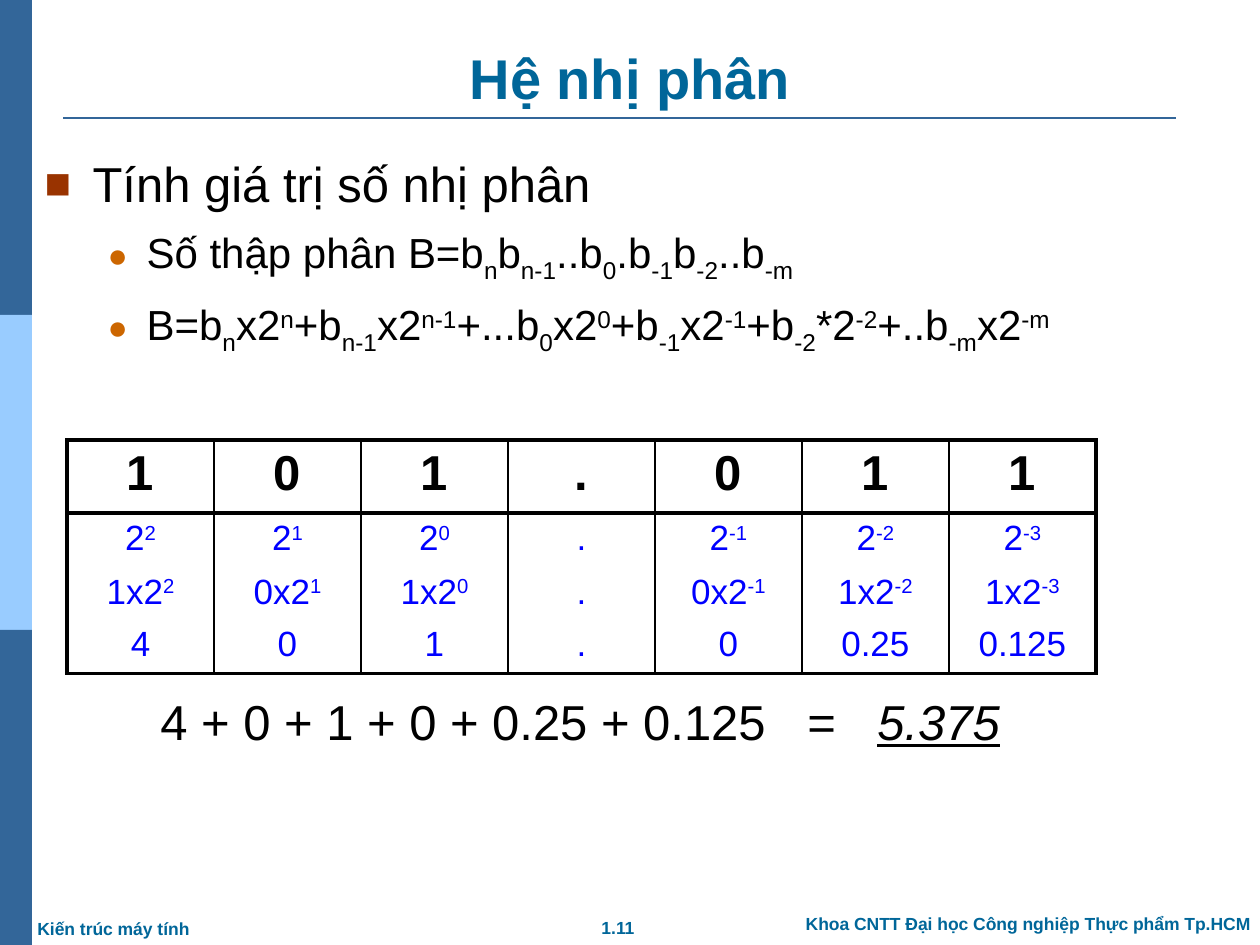
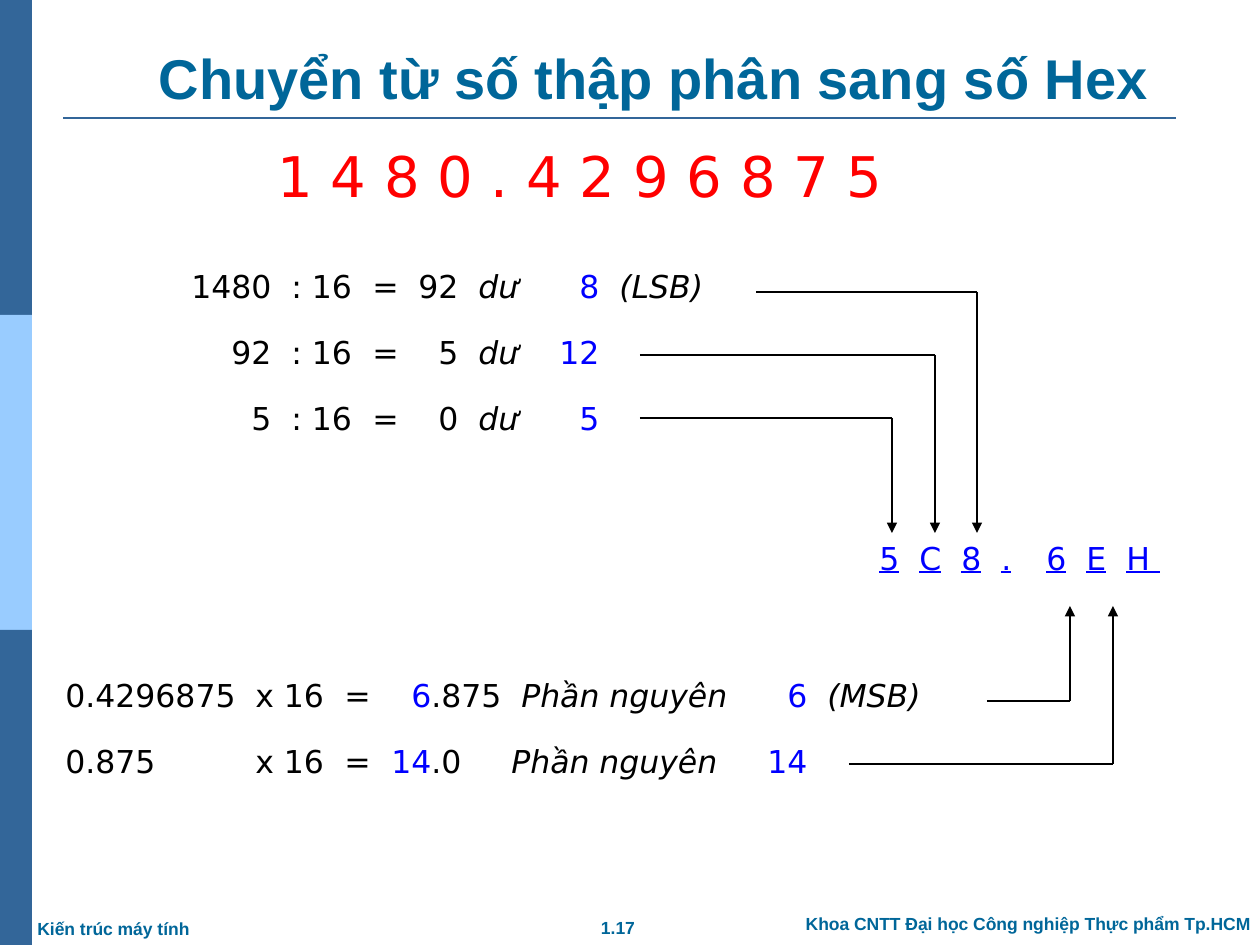
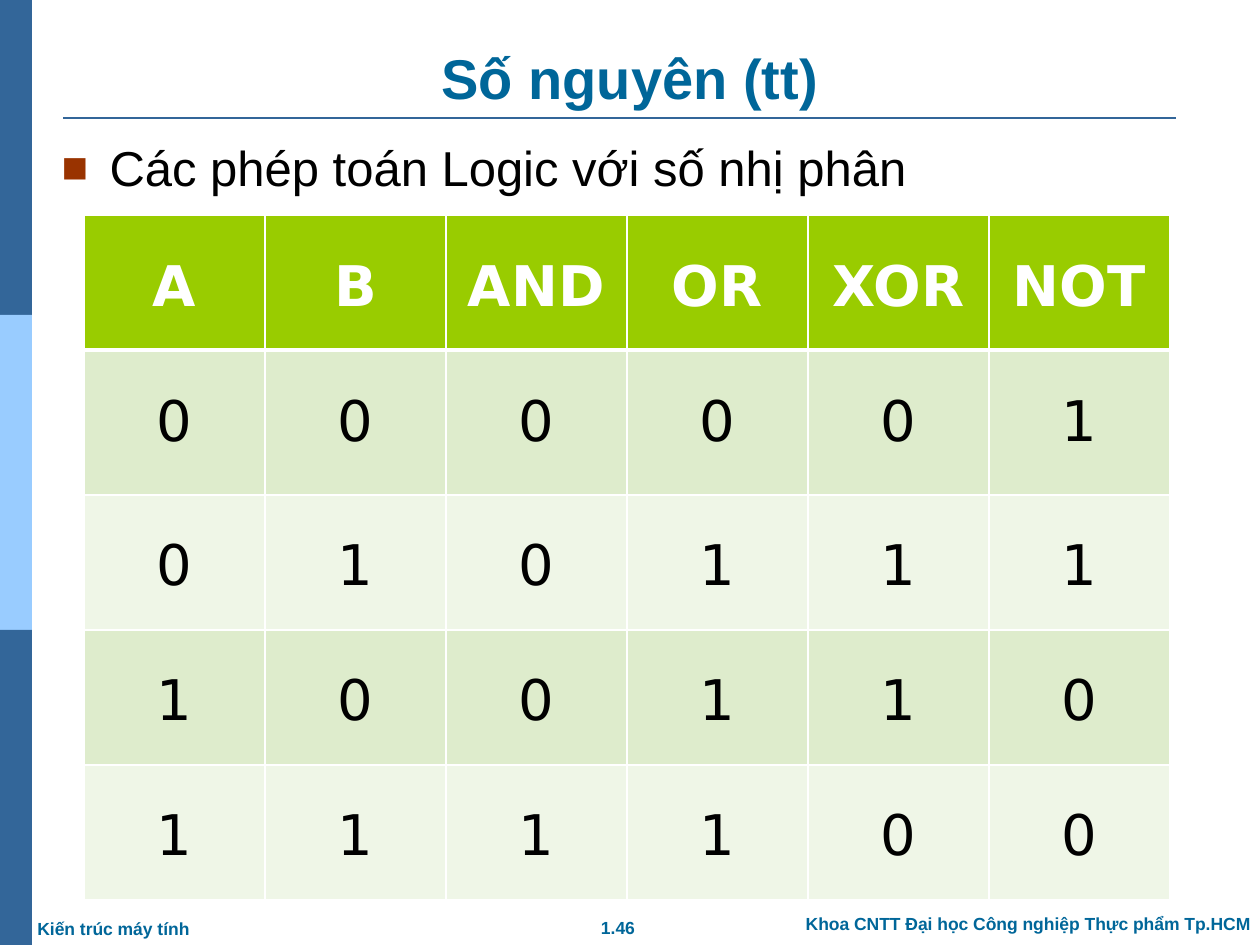
from dataclasses import dataclass
from itertools import accumulate

from lxml import etree
from pptx import Presentation
from pptx import util as u
from pptx.dml.color import RGBColor
from pptx.enum import shapes, text
from pptx.oxml.ns import qn


@dataclass(frozen=True)
class TextStyle:
    size: int
    color: str
    font: str = "Arial"
    bold: bool = False
    underline: bool = False
    before: int = 0  # percent of the text size
    line: float = 1.0


class Theme:
    band, band_light, black, blue = "336699", "99CCFF", "000000", "0000FF"
    white, header, stripes = "FFFFFF", "99CC00", ("DEECCC", "EFF6E7")
    title = TextStyle(32, "006699", bold=True)
    footer = TextStyle(10, "006699", bold=True, before=50)
    bullets = (TextStyle(28, black, before=35), TextStyle(24, black, before=35))
    bullet_marks = (("■", "993300", 90, 48, 48), ("●", "CC6600", 80, 102, 39))
    digit = TextStyle(28, black, bold=True, before=20)
    weight = TextStyle(20, blue, before=20)
    total = TextStyle(28, black, before=20, line=0.9)
    number = TextStyle(32, "FF0000", "DejaVu Sans", before=20)
    step = TextStyle(18, black, "DejaVu Sans")
    result = TextStyle(18, blue, "DejaVu Sans", underline=True, before=20)
    truth_head = TextStyle(32, white, "DejaVu Sans", bold=True, line=1.5)
    truth_value = TextStyle(32, black, "DejaVu Sans", line=1.5)


# In rich text "|" separates runs; a run may start with one of these marks:
# _ subscript, ^ superscript, / italic, # blue, ~ italic and underlined.
COURSE = "Kiến trúc máy tính"
FACULTY = "Khoa CNTT Đại học Công nghiệp Thực phẩm Tp.HCM"

BINARY_BULLETS = [
    (0, "Tính giá trị số nhị phân"),
    (1, "Số thập phân B=b|_n|b|_n-1|..b|_0|.b|_-1|b|_-2|..b|_-m"),
    (1, "B=b|_n|x2|^n|+b|_n-1|x2|^n-1|+...b|_0|x2|^0|+b|_-1|x2|^-1"
        "|+b|_-2|*2|^-2|+..b|_-m|x2|^-m"),
]
BINARY_ROWS = [
    ["1", "0", "1", ".", "0", "1", "1"],
    ["2|^2", "2|^1", "2|^0", ".", "2|^-1", "2|^-2", "2|^-3"],
    ["1x2|^2", "0x2|^1", "1x2|^0", ".", "0x2|^-1", "1x2|^-2", "1x2|^-3"],
    ["4", "0", "1", ".", "0", "0.25", "0.125"],
]
BINARY_TOTAL = "\t4 + 0 + 1 + 0 + 0.25 + 0.125\t=\t|~5.375"
TOTAL_TABS = [("l", 81), ("l", 728), ("l", 798)]

HEX_NUMBER = "1 4 8 0 . 4 2 9 6 8 7 5"
DIVISION_TABS = [("r", 80), ("l", 100), ("l", 181), ("r", 267), ("l", 287),
                 ("r", 408), ("l", 428)]
DIVISIONS = [
    ("\t1480\t: 16\t=\t92\t|/dư\t|#8\t|/(LSB)", DIVISION_TABS),
    ("\t92\t: 16\t=\t5\t|/dư\t|#12", DIVISION_TABS),
    ("\t5\t: 16\t=\t0\t|/dư\t|#5", DIVISION_TABS),
]


def product_tabs(product, label):
    return [("l", 190), ("l", 279), ("l", product), ("l", label),
            ("r", 742), ("l", 762)]


PRODUCTS = [
    ("0.4296875\tx 16\t=\t|#6|.875\t|/Phần nguyên\t|#6\t|/(MSB)",
     product_tabs(346, 456)),
    ("0.875\tx 16\t=\t|#14|.0\t|/Phần nguyên\t|#14", product_tabs(326, 446)),
]
HEX_RESULTS = [  # left, width, text, tabs
    (867, 231, "5\tC\t8\t.", [("l", 40), ("l", 82), ("l", 122)]),
    (1004, 199, "\t6\tE\tH ", [("l", 30), ("l", 70), ("l", 110)]),
]
DIGIT_ROUTES = [  # start x, row y, turn x, arrow tip y
    (640, 418, 892, 533),
    (640, 355, 935, 533),
    (756, 292, 977, 533),
    (987, 701, 1070, 606),
    (849, 764, 1113, 606),
]

LOGIC_BULLETS = [(0, "Các phép toán Logic với số nhị phân")]
LOGIC_ROWS = [
    ["A", "B", "AND", "OR", "XOR", "NOT"],
    ["0", "0", "0", "0", "0", "1"],
    ["0", "1", "0", "1", "1", "1"],
    ["1", "0", "0", "1", "1", "0"],
    ["1", "1", "1", "1", "0", "0"],
]


def px(value):
    return u.Emu(round(value * 914400 / 126))


def rgb(color):
    return RGBColor.from_string(color)


def sub(parent, tag, **attributes):
    return etree.SubElement(parent, qn(tag),
                            {key: str(value) for key, value in attributes.items()})


def write(paragraph, content, style, align=None, tabs=(), bullet=None, before=None):
    """Fill a paragraph with rich text; before overrides its spacing in points."""
    properties = paragraph._p.get_or_add_pPr()
    paragraph.alignment = align
    paragraph.line_spacing = style.line
    paragraph.space_before = u.Pt(before or 0)
    if style.before:
        spacing = properties.find(qn("a:spcBef"))
        spacing.remove(spacing[0])
        sub(spacing, "a:spcPct", val=style.before * 1000)
    if bullet:
        mark, color, size, margin, hanging = bullet
        properties.set("marL", str(px(margin)))
        properties.set("indent", str(-px(hanging)))
        sub(sub(properties, "a:buClr"), "a:srgbClr", val=color)
        sub(properties, "a:buSzPct", val=size * 1000)
        sub(properties, "a:buChar", char=mark)
    if tabs:
        tab_list = sub(properties, "a:tabLst")
        for kind, position in tabs:
            sub(tab_list, "a:tab", pos=px(position), algn=kind)

    font = paragraph.font
    font.size, font.name, font.bold = u.Pt(style.size), style.font, style.bold
    font.underline = style.underline
    font.color.rgb = rgb(style.color)
    for part in content.split("|"):
        mark = part[0] if part[0] in "_^/#~" else ""
        run = paragraph.add_run()
        run.text = part[len(mark):]
        if mark in ("_", "^"):
            run._r.get_or_add_rPr().set("baseline", "-25000" if mark == "_" else "30000")
        elif mark == "#":
            run.font.color.rgb = rgb(Theme.blue)
        elif mark:
            run.font.italic = True
            if mark == "~":
                run.font.underline = True


def add_text(slide, box, lines, style, align=None, wrap=True, before=None):
    """Add a text box; each line is a pair of rich text and tab stops."""
    shape = slide.shapes.add_textbox(*map(px, box))
    frame = shape.text_frame
    frame.word_wrap = wrap
    for index, (content, tabs) in enumerate(lines):
        paragraph = frame.add_paragraph() if index else frame.paragraphs[0]
        write(paragraph, content, style, align, tabs, before=before)
    return shape


def add_line(slide, start, end, color, width, arrow=False):
    line = slide.shapes.add_connector(shapes.MSO_CONNECTOR.STRAIGHT,
                                      *map(px, (*start, *end)))
    line.line.color.rgb = rgb(color)
    line.line.width = u.Pt(width)
    if arrow:
        sub(line.line._get_or_add_ln(), "a:tailEnd", type="triangle")
    sub(line.element.spPr, "a:effectLst")
    return line


def place(shape, box):
    shape.left, shape.top, shape.width, shape.height = map(px, box)
    shape.text_frame.word_wrap = True
    shape.text_frame.auto_size = text.MSO_AUTO_SIZE.NONE


def decorate_master(presentation, slide):
    """Draw the bands, rule and footers and move them to the slide master."""
    parts = []
    for index, color in enumerate((Theme.band, Theme.band_light, Theme.band)):
        band = slide.shapes.add_shape(shapes.MSO_SHAPE.RECTANGLE,
                                      *map(px, (0, index * 315, 32, 315)))
        band.shadow.inherit = False
        band.fill.solid()
        band.fill.fore_color.rgb = rgb(color)
        band.line.fill.background()
        parts.append(band)
    parts += [
        add_line(slide, (63, 118), (1176, 118), Theme.band, 1.5),
        add_text(slide, (788, 907, 480, 34), [(FACULTY, ())], Theme.footer,
                 text.PP_ALIGN.CENTER),
        add_text(slide, (25, 912, 179, 34), [(COURSE, ())], Theme.footer, wrap=False),
    ]
    for number, part in enumerate(parts, 100):
        part.element.xpath(".//p:cNvPr")[0].set("id", str(number))
        presentation.slide_master.shapes.element.append(part.element)


def add_slide(presentation, title, page, bullets=(), body_box=None, title_width=1134):
    layout = presentation.slide_layouts[1 if bullets else 5]
    slide = presentation.slides.add_slide(layout)
    heading = slide.shapes.title
    place(heading, (63, 38, title_width, 79))
    heading.text_frame.vertical_anchor = text.MSO_ANCHOR.BOTTOM
    write(heading.text_frame.paragraphs[0], title, Theme.title, text.PP_ALIGN.CENTER)
    if bullets:
        body = slide.placeholders[1]
        place(body, body_box)
        frame = body.text_frame
        for index, (level, content) in enumerate(bullets):
            paragraph = frame.add_paragraph() if index else frame.paragraphs[0]
            paragraph.level = level
            write(paragraph, content, Theme.bullets[level],
                  bullet=Theme.bullet_marks[level])
    add_text(slide, (587, 911, 62, 34), [(page, ())], Theme.footer,
             text.PP_ALIGN.CENTER, wrap=False)
    return slide


def set_borders(cell, color, widths):
    """Set border widths in points, in the order left, right, top, bottom."""
    properties = cell._tc.get_or_add_tcPr()
    for index, (side, width) in enumerate(zip("LRTB", widths)):
        border = sub(properties, f"a:ln{side}", w=u.Pt(width))
        properties.insert(index, border)
        if width:
            sub(sub(border, "a:solidFill"), "a:srgbClr", val=color)
        else:
            sub(border, "a:noFill")


def add_grid(slide, rows, left, top, column_width, heights):
    """Add a plain table and return its cells, row by row."""
    columns = len(rows[0])
    table = slide.shapes.add_table(
        len(rows), columns,
        *map(px, (left, top, columns * column_width, sum(heights)))).table
    table.first_row = table.horz_banding = False
    for column in table.columns:
        column.width = px(column_width)
    for row, height in zip(table.rows, heights):
        row.height = px(height)
    return [list(row.cells) for row in table.rows]


def add_binary_table(slide):
    """Stack one strip per row inside a thick frame, with a rule below the digits."""
    heights = [73, 53, 53, 53]
    tops = accumulate(heights[:-1], initial=440)
    last_row, last_column = len(BINARY_ROWS) - 1, len(BINARY_ROWS[0]) - 1
    for index, (values, top, height) in enumerate(zip(BINARY_ROWS, tops, heights)):
        cells = add_grid(slide, [values], 67, top, 147, [height])[0]
        for column, (cell, value) in enumerate(zip(cells, values)):
            write(cell.text_frame.paragraphs[0], value,
                  Theme.weight if index else Theme.digit, text.PP_ALIGN.CENTER)
            cell.fill.background()
            set_borders(cell, Theme.black, (
                1 if column else 2.25,
                2.25 if column == last_column else 1,
                0 if index else 2.25,
                2.25 if index in (0, last_row) else 0))


def add_truth_table(slide):
    cells = add_grid(slide, LOGIC_ROWS, 84, 215, 181, [135, 145, 135, 135, 135])
    for index, (row, values) in enumerate(zip(cells, LOGIC_ROWS)):
        for cell, value in zip(row, values):
            write(cell.text_frame.paragraphs[0], value,
                  Theme.truth_value if index else Theme.truth_head,
                  text.PP_ALIGN.CENTER)
            cell.fill.solid()
            cell.fill.fore_color.rgb = rgb(
                Theme.stripes[(index - 1) % 2] if index else Theme.header)
            set_borders(cell, Theme.white,
                        (1, 1, 3 if index == 1 else 1, 1 if index else 3))


def main():
    presentation = Presentation()
    presentation.slide_width, presentation.slide_height = px(1260), px(945)

    binary = add_slide(presentation, "Hệ nhị phân", "1.11",
                       BINARY_BULLETS, (32, 147, 1228, 311))
    decorate_master(presentation, binary)
    add_binary_table(binary)
    add_text(binary, (67, 692, 1029, 73), [(BINARY_TOTAL, TOTAL_TABS)], Theme.total)

    hexadecimal = add_slide(presentation, "Chuyển từ số thập phân sang số Hex", "1.17",
                            title_width=1182)
    add_text(hexadecimal, (265, 135, 684, 73), [(HEX_NUMBER, ())], Theme.number)
    add_text(hexadecimal, (179, 261, 1029, 199), DIVISIONS, Theme.step, before=16)
    add_text(hexadecimal, (53, 670, 1071, 179), PRODUCTS, Theme.step, before=16)
    for left, width, content, tabs in HEX_RESULTS:
        add_text(hexadecimal, (left, 533, width, 73), [(content, tabs)], Theme.result)
    for start, row, turn, tip in DIGIT_ROUTES:
        add_line(hexadecimal, (start, row), (turn, row), Theme.black, 0.75)
        add_line(hexadecimal, (turn, row), (turn, tip), Theme.black, 0.75, arrow=True)

    logic = add_slide(presentation, "Số nguyên (tt)", "1.46",
                      LOGIC_BULLETS, (49, 131, 1158, 757))
    add_truth_table(logic)

    presentation.save("out.pptx")


if __name__ == "__main__":
    main()
